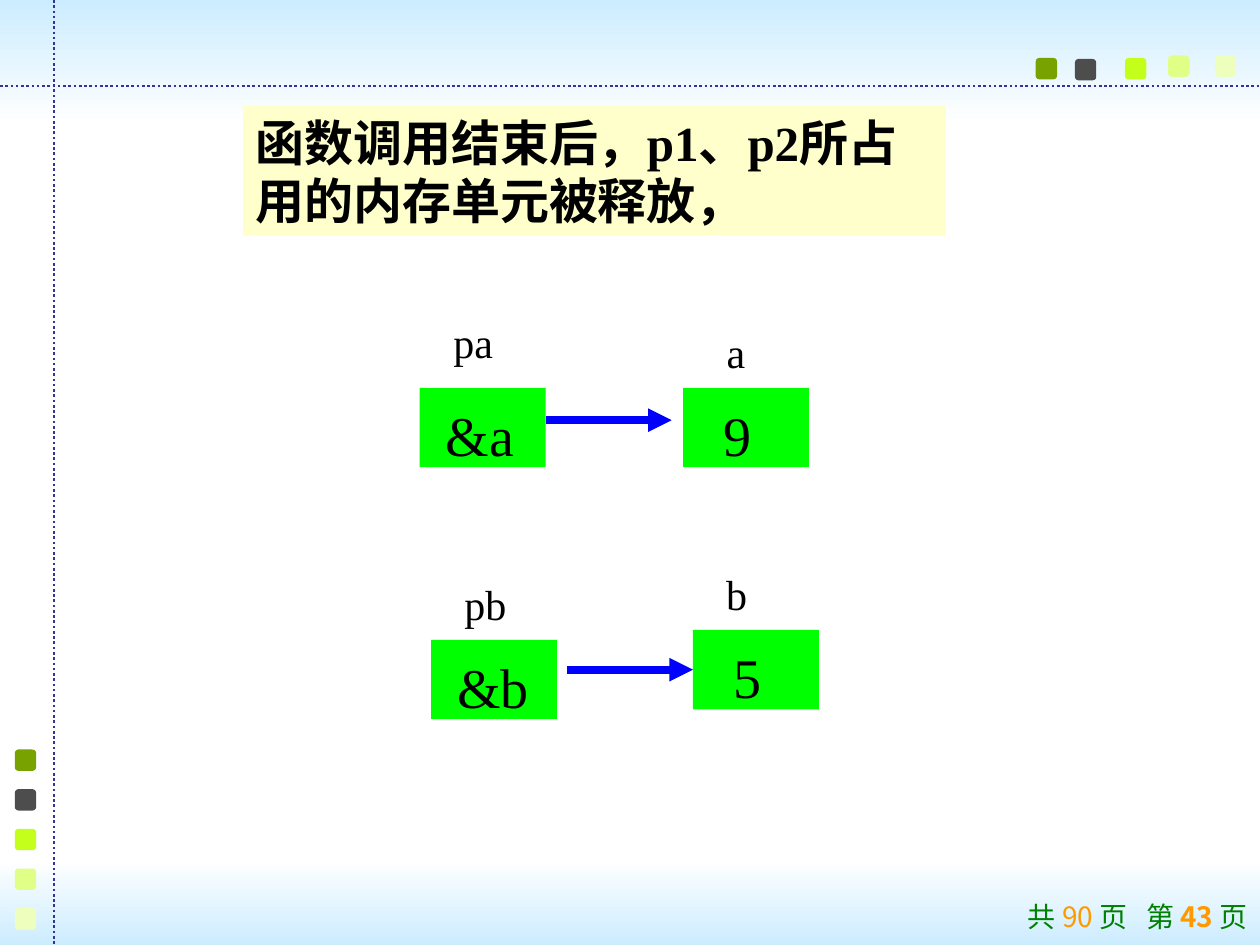
import pptx
import pptx.util
import pptx.dml.color
import pptx.enum.dml
import pptx.enum.shapes
import pptx.enum.text
import pptx.oxml
import pptx.oxml.ns
import lxml.etree

Cm = pptx.util.Cm
Pt = pptx.util.Pt
RGBColor = pptx.dml.color.RGBColor
SHAPE = pptx.enum.shapes.MSO_SHAPE
ANCHOR = pptx.enum.text.MSO_ANCHOR
ALIGN = pptx.enum.text.PP_ALIGN
qn = pptx.oxml.ns.qn

BLACK = RGBColor(0x00, 0x00, 0x00)
WHITE = RGBColor(0xFF, 0xFF, 0xFF)
SKY = RGBColor(0xCC, 0xEC, 0xFF)
NAVY = RGBColor(0x33, 0x33, 0x99)
BLUE = RGBColor(0x00, 0x00, 0xFF)
GREEN = RGBColor(0x00, 0xFF, 0x00)
CREAM = RGBColor(0xFF, 0xFF, 0xCC)
DARK_GREEN = RGBColor(0x00, 0x80, 0x00)
ORANGE = RGBColor(0xFF, 0x99, 0x00)
SQUARES = [
    RGBColor(0x78, 0xA2, 0x00),
    RGBColor(0x4D, 0x4D, 0x4D),
    RGBColor(0xC3, 0xFF, 0x1B),
    RGBColor(0xE0, 0xFF, 0x87),
    RGBColor(0xEE, 0xFF, 0xBD),
]


def add_line(shapes, x1, y1, x2, y2, color, width):
    cxn = shapes.add_connector(
        pptx.enum.shapes.MSO_CONNECTOR.STRAIGHT, Cm(x1), Cm(y1), Cm(x2), Cm(y2))
    cxn.line.color.rgb = color
    cxn.line.width = Pt(width)
    lxml.etree.SubElement(cxn._element.spPr, qn("a:effectLst"))
    return cxn


def write(sp, text, size, indent, top):
    tf = sp.text_frame
    tf.word_wrap = True
    tf.vertical_anchor = ANCHOR.TOP
    tf.margin_left = Cm(0.25 + indent)
    tf.margin_top = Cm(top)
    tf.margin_bottom = 0
    p = tf.paragraphs[0]
    p.text = text
    p.alignment = ALIGN.LEFT
    p.font.name = "Times New Roman"
    p.font.size = Pt(size)
    p.font.color.rgb = BLACK


prs = pptx.Presentation()
prs.slide_width = Cm(25.4)
prs.slide_height = Cm(19.05)
s = prs.slides.add_slide(prs.slide_layouts[5])

for top, height, colors in [(0, 2.51, (SKY, WHITE)), (17.32, 1.73, (WHITE, SKY))]:
    sp = s.shapes.add_shape(SHAPE.RECTANGLE, 0, Cm(top), Cm(25.4), Cm(height))
    sp.shadow.inherit = False
    sp.line.fill.background()
    sp.fill.gradient()
    sp.fill.gradient_angle = 270
    for stop, color in zip(sp.fill.gradient_stops, colors):
        stop.color.rgb = color

for ends in [(0, 1.73, 25.4, 1.73), (1.09, 0, 1.09, 19.05)]:
    cxn = add_line(s.shapes, *ends, NAVY, 1.5)
    cxn.line.dash_style = pptx.enum.dml.MSO_LINE.ROUND_DOT

top_row = [(20.88, 1.17), (21.67, 1.19), (22.68, 1.17), (23.55, 1.12), (24.49, 1.12)]
left_column = [(0.3, 15.11 + 0.8 * i) for i in range(5)]
for places in (top_row, left_column):
    for (x, y), color in zip(places, SQUARES):
        sp = s.shapes.add_shape(SHAPE.ROUNDED_RECTANGLE, Cm(x), Cm(y), Cm(0.43), Cm(0.43))
        sp.shadow.inherit = False
        sp.fill.solid()
        sp.fill.fore_color.rgb = color
        sp.line.fill.background()

sp = s.shapes.add_textbox(Cm(18.72), Cm(18.01), Cm(6.68), Cm(0.91))
tf = sp.text_frame
tf.word_wrap = True
p = tf.paragraphs[0]
p.alignment = ALIGN.RIGHT
p.font.name = "Noto Sans CJK SC"
p.font.size = Pt(16)
for text, color, bold, spacing in [
    ("共 ", DARK_GREEN, False, 0),
    ("90 ", ORANGE, False, 0),
    ("页", DARK_GREEN, False, 0),
    (" ", DARK_GREEN, False, 720),
    ("第 ", DARK_GREEN, False, 0),
    ("43 ", ORANGE, True, 0),
    ("页", DARK_GREEN, False, 0),
]:
    r = p.add_run()
    r.text = text
    r.font.color.rgb = color
    r.font.bold = bold
    if spacing:
        r.font._element.set("spc", str(spacing))

pointer_a = [
    ("pa", 8.89, 6.15, 0, "&a", 8.46, 7.82, 0.28),
    ("a", 13.77, 6.35, 0.63, "9", 13.77, 7.82, 0.56),
]
pointer_b = [
    ("pb", 8.69, 11.43, 0.42, "&b", 8.69, 12.9, 0.28),
    ("b", 13.97, 11.23, 0.42, "5", 13.97, 12.7, 0.56),
]
for cells, start, y, joined in [(pointer_a, 11, 8.47, False), (pointer_b, 11.43, 13.5, True)]:
    shapes = s.shapes.add_group_shape().shapes
    for label, lx, ly, label_indent, value, bx, by, value_indent in cells:
        sp = shapes.add_textbox(Cm(lx), Cm(ly), Cm(2.54), Cm(1.27))
        write(sp, label, 24, label_indent, 0.23)
        box = shapes.add_shape(SHAPE.RECTANGLE, Cm(bx), Cm(by), Cm(2.54), Cm(1.6))
        box.shadow.inherit = False
        box.fill.solid()
        box.fill.fore_color.rgb = GREEN
        box.line.fill.background()
        write(box, value, 32, value_indent, 0.26)
    arrow = add_line(shapes, start, y, start + 2.54, y, BLUE, 4.5)
    if joined:
        arrow.end_connect(box, 1)
    ln = arrow.line._get_or_add_ln()
    lxml.etree.SubElement(ln, qn("a:tailEnd"), type="triangle")

title = s.shapes.title
title.left, title.top, title.width, title.height = Cm(4.9), Cm(2.13), Cm(14.17), Cm(2.62)
title.fill.solid()
title.fill.fore_color.rgb = CREAM
write(title, "函数调用结束后，p1、p2所占用的内存单元被释放，", 28, 0, 0.13)
title.text_frame.auto_size = pptx.enum.text.MSO_AUTO_SIZE.NONE
title.text_frame.paragraphs[0].font.bold = True
s.shapes._spTree.append(title._element)

prs.save("out.pptx")
